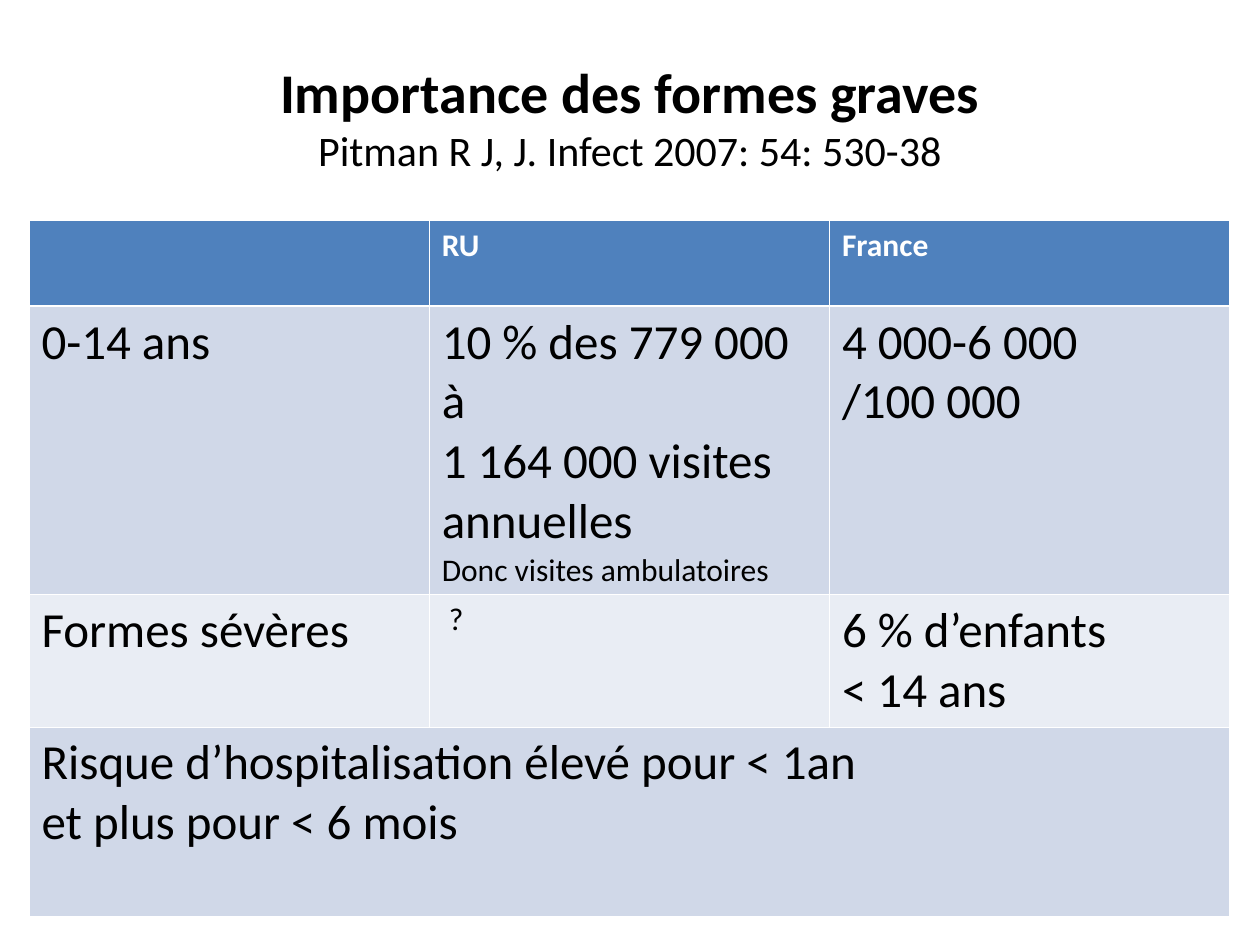
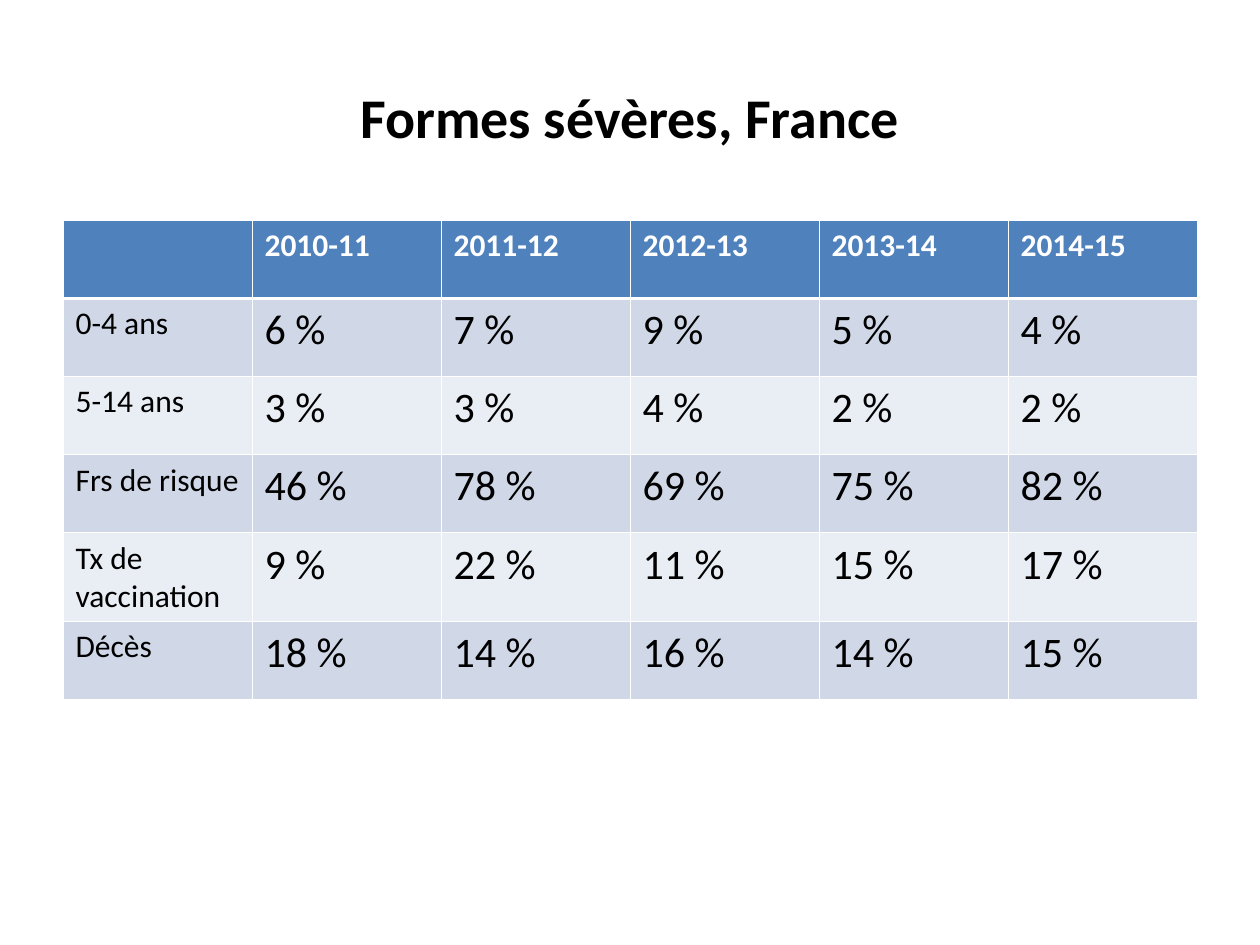
from lxml.etree import SubElement
from pptx import Presentation
from pptx.dml.color import RGBColor
from pptx.enum.text import MSO_ANCHOR, PP_ALIGN
from pptx.oxml.ns import qn
from pptx.util import Inches, Pt

BLACK = RGBColor(0x00, 0x00, 0x00)
WHITE = RGBColor(0xFF, 0xFF, 0xFF)
BLUE = RGBColor(0x4F, 0x81, 0xBD)
BAND = RGBColor(0xD0, 0xD8, 0xE8)
PALE = RGBColor(0xE9, 0xED, 0xF4)
THIN, THICK = 0.45, 1.47


class Deck:
    font = "Calibri"

    def __init__(self):
        self.prs = Presentation()
        self.prs.slide_width = Inches(10)
        self.prs.slide_height = Inches(7.5)
        self.slide = None

    def page(self):
        self.slide = self.prs.slides.add_slide(self.prs.slide_layouts[6])

    def run(self, para, text, size, color=BLACK, bold=False):
        run = para.add_run()
        run.text = text
        run.font.name = self.font
        run.font.size = Pt(size)
        run.font.bold = bold
        run.font.color.rgb = color

    def title(self, text, source=None):
        box = self.slide.shapes.add_textbox(
            Inches(0.5), Inches(0.3), Inches(9), Inches(1.25))
        frame = box.text_frame
        frame.word_wrap = True
        frame.vertical_anchor = MSO_ANCHOR.MIDDLE
        para = frame.paragraphs[0]
        para.alignment = PP_ALIGN.CENTER
        self.run(para, text, 32, bold=True)
        if source:
            para.add_line_break()
            self.run(para, source, 24)

    def border(self, cell, row):
        props = cell._tc.get_or_add_tcPr()
        widths = {"L": THIN, "R": THIN,
                  "T": THICK if row == 1 else THIN,
                  "B": THICK if row == 0 else THIN}
        for side, width in widths.items():
            line = SubElement(props, qn(f"a:ln{side}"), w=str(Pt(width)))
            fill = SubElement(line, qn("a:solidFill"))
            SubElement(fill, qn("a:srgbClr"), val=str(WHITE))

    def cell(self, cell, row, lines):
        self.border(cell, row)
        cell.fill.solid()
        cell.fill.fore_color.rgb = (
            BLUE if row == 0 else BAND if row % 2 else PALE)
        frame = cell.text_frame
        for i, (text, size) in enumerate(lines):
            para = frame.add_paragraph() if i else frame.paragraphs[0]
            self.run(para, text, size, WHITE if row == 0 else BLACK, row == 0)

    def table(self, left, width, heights, rows):
        count = len(rows[0])
        table = self.slide.shapes.add_table(
            len(rows), count, Inches(left), Inches(1.75),
            Inches(width), Inches(sum(heights))).table
        for col in table.columns:
            col.width = Inches(width / count)
        for r, (height, row) in enumerate(zip(heights, rows)):
            table.rows[r].height = Inches(height)
            for c in range(count):
                self.cell(table.cell(r, c), r, row[c] if c < len(row) else [])
            if len(row) < count:
                table.cell(r, len(row) - 1).merge(table.cell(r, count - 1))


def sized(size, *lines):
    return [(line, size) for line in lines]


def main():
    deck = Deck()

    deck.page()
    deck.title("Importance des formes graves",
               "Pitman R J, J. Infect 2007: 54: 530-38")
    deck.table(0.23, 9.53, [0.68, 2.29, 1.05, 1.5], [
        [[], sized(18, "RU"), sized(18, "France")],
        [sized(28, "0-14 ans"),
         sized(28, "10 % des 779 000 à", "1 164 000 visites annuelles")
         + sized(18, "Donc visites ambulatoires"),
         sized(28, "4 000-6 000", "/100 000")],
        [sized(28, "Formes sévères"), sized(18, " ?"),
         sized(28, "6 % d’enfants", "< 14 ans")],
        [sized(28, "Risque d’hospitalisation élevé pour < 1an",
               "et plus pour < 6 mois")],
    ])

    deck.page()
    deck.title("Formes sévères, France")
    rates = {
        "0-4 ans": [6, 7, 9, 5, 4],
        "5-14 ans": [3, 3, 4, 2, 2],
        "Frs de risque": [46, 78, 69, 75, 82],
        "Tx de vaccination": [9, 22, 11, 15, 17],
        "Décès": [18, 14, 16, 14, 15],
    }
    years = [sized(18, f"20{y}-{y + 1}") for y in range(10, 15)]
    rows = [[[]] + years]
    for label, values in rates.items():
        rows.append([sized(18, label)] + [sized(24, f"{v} %") for v in values])
    deck.table(0.5, 9, [0.62] * 4 + [0.7, 0.62], rows)

    deck.prs.save("out.pptx")


if __name__ == "__main__":
    main()
